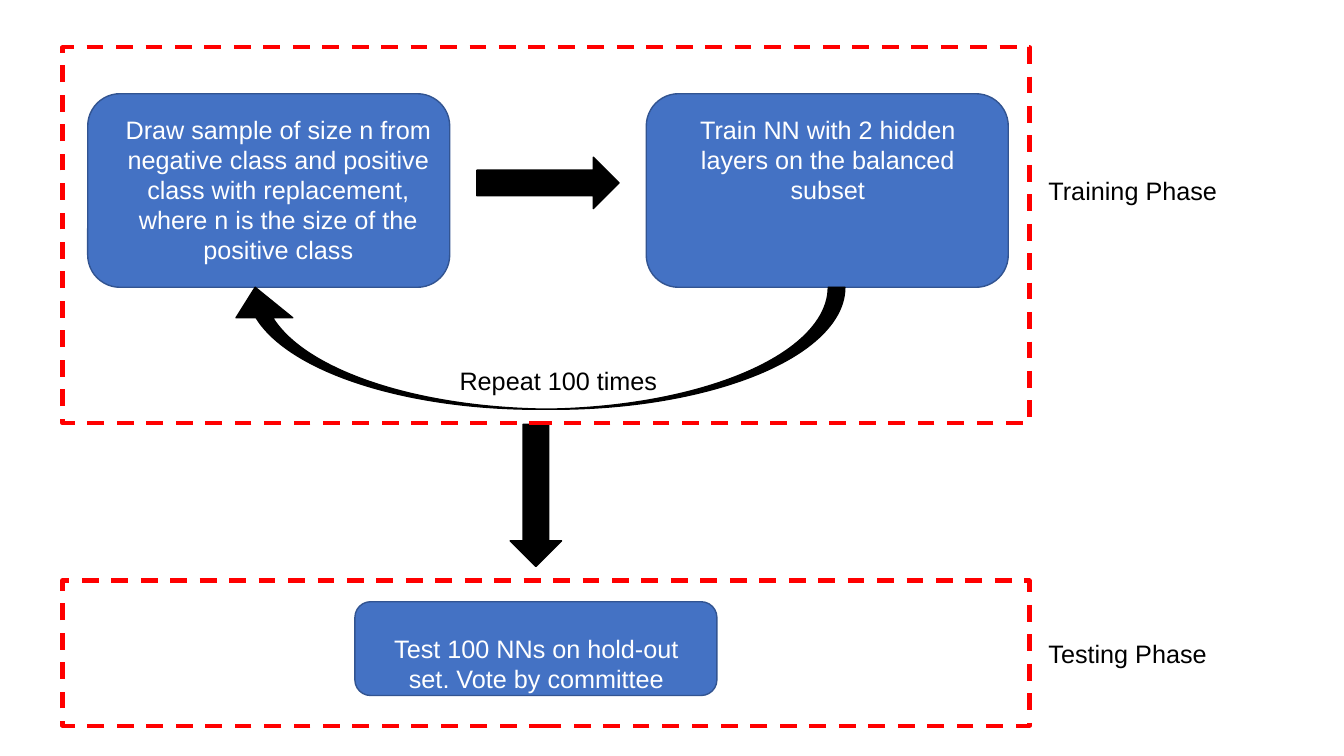
import pptx
import pptx.util
import pptx.dml.color
import pptx.enum.dml
import pptx.enum.shapes
import pptx.enum.text

Inches, Pt = pptx.util.Inches, pptx.util.Pt
RGB = pptx.dml.color.RGBColor.from_string
SHAPE = pptx.enum.shapes.MSO_SHAPE
ALIGN = pptx.enum.text.PP_ALIGN
COLORS = {"box": "4472C4", "edge": "325491", "frame": "FF0000",
          "black": "000000", "white": "FFFFFF"}


def add_shape(kind, box, fill, line, width=1):
    sp = s.shapes.add_shape(kind, *map(Inches, box))
    sp.shadow.inherit = False
    if fill:
        sp.fill.solid()
        sp.fill.fore_color.rgb = RGB(COLORS[fill])
    else:
        sp.fill.background()
    sp.line.color.rgb = RGB(COLORS[line])
    sp.line.width = Pt(width)
    return sp


def add_text(text, box, color="black", align=ALIGN.LEFT):
    tf = s.shapes.add_textbox(*map(Inches, box)).text_frame
    tf.word_wrap = True
    p = tf.paragraphs[0]
    p.alignment = align
    r = p.add_run()
    r.text = text
    for name, value in {"name": "Arial", "size": Pt(18)}.items():
        setattr(r.font, name, value)
    r.font.color.rgb = RGB(COLORS[color])


prs = pptx.Presentation()
prs.slide_width, prs.slide_height = Inches(13.33), Inches(7.5)
s = prs.slides.add_slide(prs.slide_layouts[6])

# Steps: box left, top, height; text left, top, height
steps = [
    ("Draw sample of size n from negative class and positive class with "
     "replacement, where n is the size of the positive class",
     (0.87, 0.93, 1.92), (1.05, 1.08, 1.62)),
    ("Train NN with 2 hidden layers on the balanced subset",
     (6.41, 0.93, 1.92), (6.5, 1.08, 1.01)),
    ("Test 100 NNs on hold-out set. Vote by committee",
     (3.52, 5.97, 0.93), (3.61, 6.23, 0.71)),
]
for text, (left, top, height), (text_left, text_top, text_height) in steps:
    add_shape(SHAPE.ROUNDED_RECTANGLE, (left, top, 3.59, height), "box", "edge")
    add_text(text, (text_left, text_top, 3.42, text_height), "white", ALIGN.CENTER)

# Arrows between the steps
for left, top, rotation in [(4.73, 1.56, 0), (4.61, 4.66, 90)]:
    arrow = add_shape(SHAPE.RIGHT_ARROW, (left, top, 1.41, 0.51), "black", "black")
    arrow.rotation = rotation

# Loop back to sampling
loop = add_shape(SHAPE.CURVED_UP_ARROW, (2.25, 2.85, 6.13, 1.21), "black", "black")
loop._element.spPr.xfrm.set("flipH", "1")
for i, value in enumerate([0.136, 0.465, 0.25]):
    loop.adjustments[i] = value
add_text("Repeat 100 times", (4.46, 3.58, 2.93, 0.4))

# Phase frames and their labels
phases = [("Training Phase", 0.47, 3.73, 1.69), ("Testing Phase", 5.76, 1.44, 6.28)]
for label, top, height, label_top in phases:
    frame = add_shape(SHAPE.RECTANGLE, (0.62, top, 9.59, height), None, "frame", 3)
    frame.line.dash_style = pptx.enum.dml.MSO_LINE.DASH
    add_text(label, (10.3, label_top, 1.92, 0.4))

prs.save("out.pptx")
